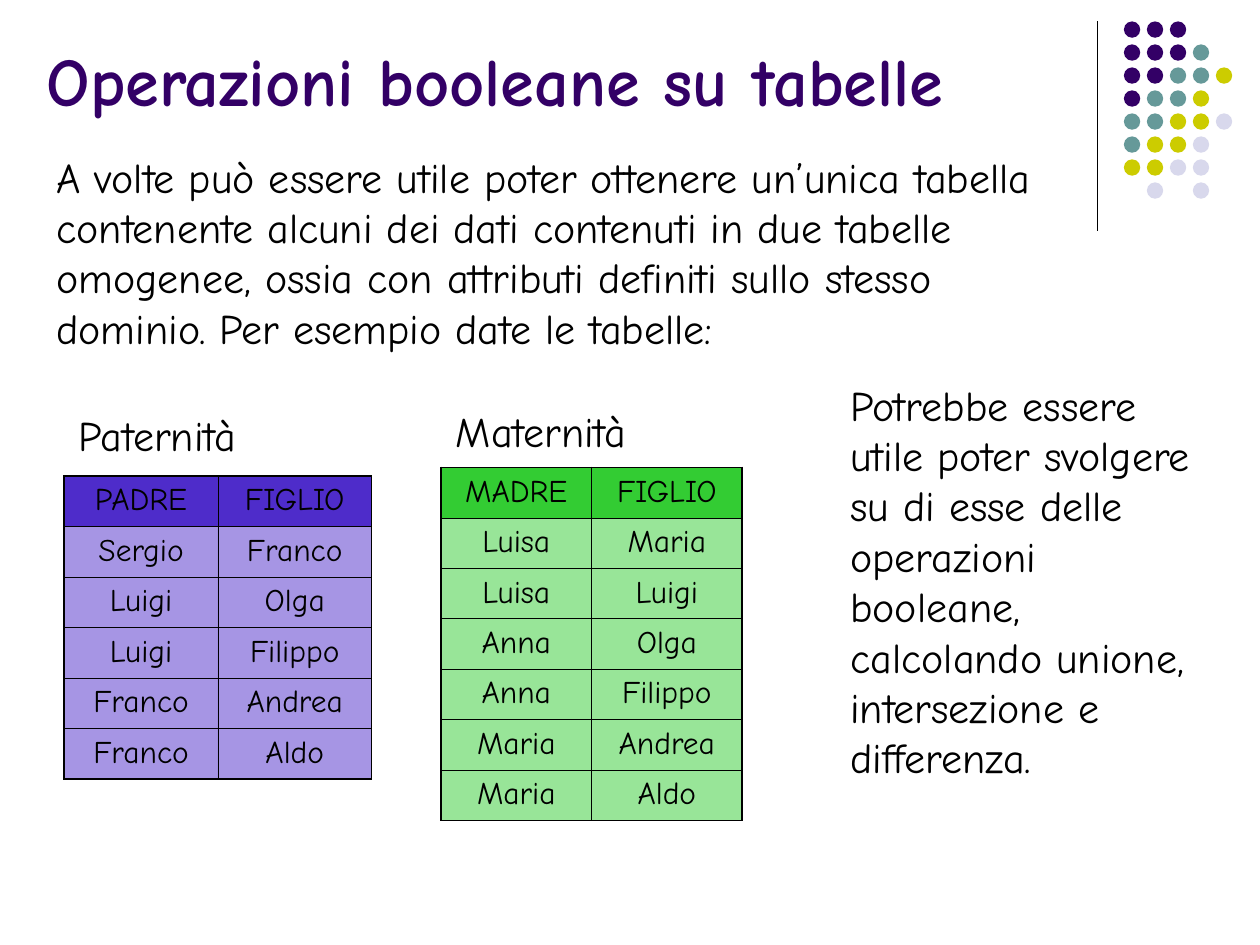
from lxml import etree
from pptx import Presentation
from pptx import util as u
from pptx.dml.color import RGBColor
from pptx.enum import shapes, text
from pptx.oxml import ns

FONT = "Comic Neue"
COLORS = {
    "text": "000000", "title": "330066",
    "father": "4E2CCA", "mother": "33CC33",
    "P": "330066", "T": "669999", "Y": "CCCC00", "L": "D8D8EC",
}
# One letter per dot, keyed in COLORS; a dot mark leaves the place free
DOTS = ["PPP..", "PPPT.", "PPTTY", "PTTY.", "TTYYL", "TYYL.", "YYLL.", ".L.L."]
THICK, THIN = 1.08, 0.45

FATHERS = [("PADRE", "FIGLIO"), ("Sergio", "Franco"), ("Luigi", "Olga"),
           ("Luigi", "Filippo"), ("Franco", "Andrea"), ("Franco", "Aldo")]
MOTHERS = [("MADRE", "FIGLIO"), ("Luisa", "Maria"), ("Luisa", "Luigi"),
           ("Anna", "Olga"), ("Anna", "Filippo"), ("Maria", "Andrea"),
           ("Maria", "Aldo")]
INTRO = ("A volte può essere utile poter ottenere un’unica tabella contenente "
         "alcuni dei dati contenuti in due tabelle omogenee, ossia con attributi "
         "definiti sullo stesso dominio. Per esempio date le tabelle:")
REMARK = ("Potrebbe essere utile poter svolgere su di esse delle operazioni "
          "booleane, calcolando unione, intersezione e differenza.")


def rgb(name):
    return RGBColor.from_string(COLORS[name])


def inches(box):
    return [u.Inches(v) for v in box]


def style(p, size, color="text", bold=False, align=text.PP_ALIGN.LEFT):
    p.alignment = align
    p.font.name, p.font.size, p.font.bold = FONT, u.Pt(size), bold
    p.font.color.rgb = rgb(color)


def add_title(s, box, words):
    sp = s.shapes.title
    sp.left, sp.top, sp.width, sp.height = inches(box)
    tf = sp.text_frame
    tf.text = words
    tf.auto_size = text.MSO_AUTO_SIZE.NONE
    tf.vertical_anchor = text.MSO_ANCHOR.BOTTOM
    style(tf.paragraphs[0], 39, "title", bold=True)


def add_text(s, box, words, wrap=True, align=text.PP_ALIGN.LEFT):
    tf = s.shapes.add_textbox(*inches(box)).text_frame
    tf.word_wrap = wrap
    tf.auto_size = text.MSO_AUTO_SIZE.SHAPE_TO_FIT_TEXT
    tf.text = words
    style(tf.paragraphs[0], 24, align=align)


def add_ornament(s, box):
    """Vertical rule at the left of the box, dot pattern at its right."""
    left, top, width, height = box
    rule = s.shapes.add_connector(
        shapes.MSO_CONNECTOR.STRAIGHT, *inches((left, top, left, top + height)))
    rule.line.color.rgb = rgb("text")
    rule.line.width = u.Pt(0.75)
    etree.SubElement(rule._element.spPr, ns.qn("a:effectLst"))

    size = 0.13
    dots_left = left + 0.21
    pitch = (width - 0.21 - size) / (len(DOTS[0]) - 1)
    for row, line in enumerate(DOTS):
        for col, key in enumerate(line):
            if key == ".":
                continue
            dot = s.shapes.add_shape(shapes.MSO_SHAPE.OVAL, *inches(
                (dots_left + col * pitch, top + row * pitch, size, size)))
            dot.shadow.inherit = False
            dot.fill.solid()
            dot.fill.fore_color.rgb = rgb(key)
            dot.line.fill.background()


def set_borders(cell, widths):
    tc_pr = cell._tc.get_or_add_tcPr()
    for side, width in zip("LRTB", widths):
        ln = etree.SubElement(tc_pr, ns.qn("a:ln" + side), w=str(u.Pt(width)))
        fill = etree.SubElement(ln, ns.qn("a:solidFill"))
        etree.SubElement(fill, ns.qn("a:srgbClr"), val=COLORS["text"])


def set_fill(cell, color, half):
    cell.fill.solid()
    cell.fill.fore_color.rgb = rgb(color)
    if half:
        clr = cell._tc.tcPr.find(".//" + ns.qn("a:solidFill") + "/[@val]")
        if clr is None:
            clr = cell._tc.tcPr.find(ns.qn("a:solidFill"))[0]
        etree.SubElement(clr, ns.qn("a:alpha"), val="50000")


def add_relation(s, box, rows, color):
    """Table with a solid heading row, half transparent body and thick frame."""
    n, m = len(rows), len(rows[0])
    table = s.shapes.add_table(n, m, *inches(box)).table
    table.horz_banding = False
    for r, row in enumerate(rows):
        for c, words in enumerate(row):
            cell = table.cell(r, c)
            outer = (c == 0, c == m - 1, r == 0, r == n - 1)
            set_borders(cell, [THICK if edge else THIN for edge in outer])
            set_fill(cell, color, half=r > 0)
            cell.text = words
            p = cell.text_frame.paragraphs[0]
            p.space_before = u.Pt(4.5)
            style(p, 18, align=text.PP_ALIGN.CENTER)


def main():
    prs = Presentation()
    prs.slide_width, prs.slide_height = u.Inches(10), u.Inches(7.5)
    s = prs.slides.add_slide(prs.slide_layouts[5])
    row = 0.4

    add_ornament(s, (8.71, 0.17, 1.07, 1.66))
    add_title(s, (0.27, -0.42, 8.25, 1.42), "Operazioni booleane su tabelle")
    add_text(s, (0.35, 1.15, 8.35, 1.7), INTRO)
    add_relation(s, (3.5, 3.71, 2.39, row * len(MOTHERS)), MOTHERS, "mother")
    add_relation(s, (0.51, 3.78, 2.44, row * len(FATHERS)), FATHERS, "father")
    add_text(s, (3.52, 3.17, 1.57, 0.5), "Maternità", wrap=False)
    add_text(s, (0.51, 3.2, 1.48, 0.5), "Paternità", wrap=False,
             align=text.PP_ALIGN.CENTER)
    add_text(s, (6.65, 2.96, 2.91, 3.3), REMARK)
    prs.save("out.pptx")


if __name__ == "__main__":
    main()
